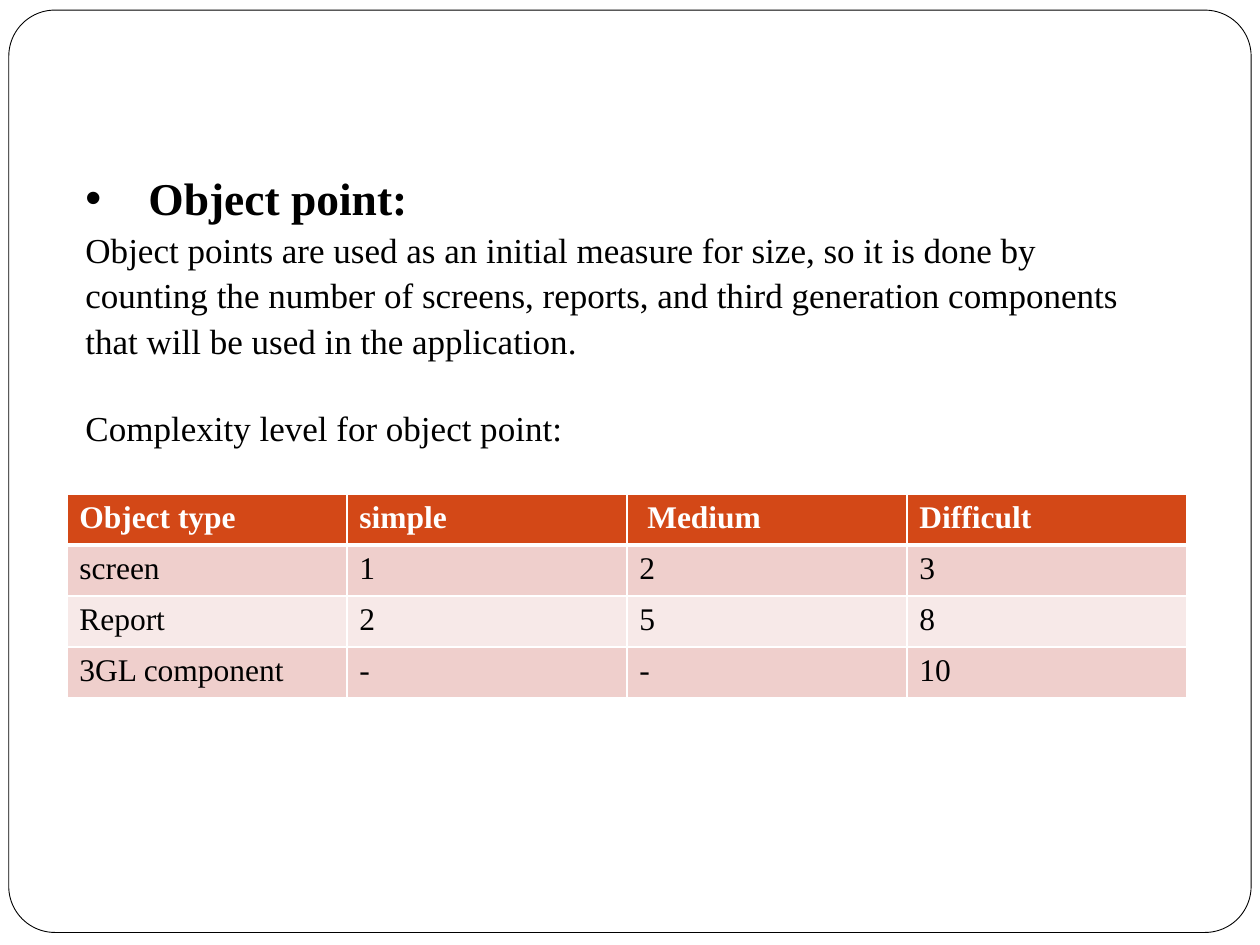
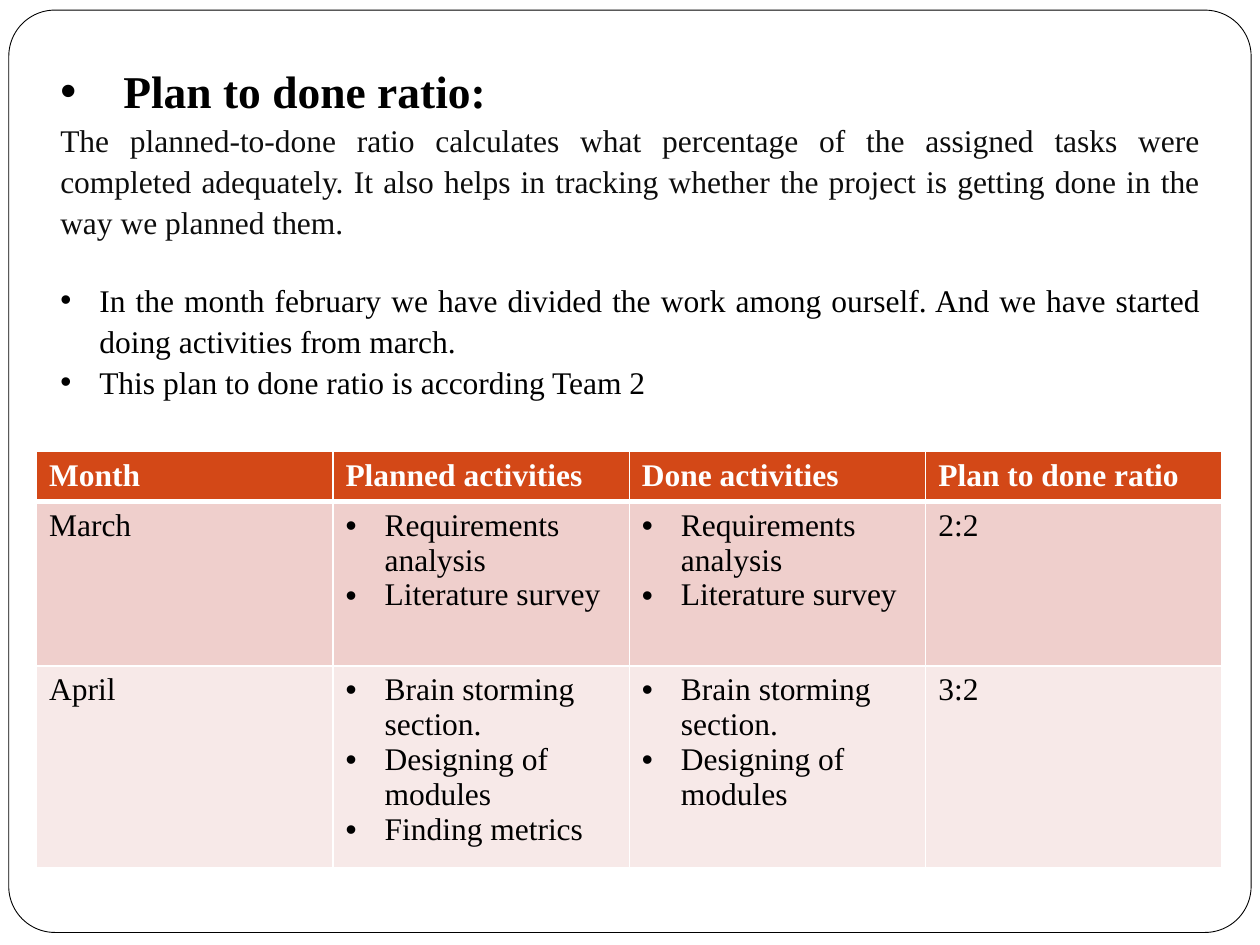
from lxml import etree
from pptx import Presentation
from pptx.dml.color import RGBColor
from pptx.enum.shapes import MSO_SHAPE
from pptx.enum.text import MSO_AUTO_SIZE, PP_ALIGN
from pptx.oxml.ns import qn
from pptx.util import Inches, Pt

ROUNDED = MSO_SHAPE.ROUNDED_RECTANGLE
LEFT, JUSTIFY = PP_ALIGN.LEFT, PP_ALIGN.JUSTIFY
NO_AUTOFIT = MSO_AUTO_SIZE.NONE

FONT = "Times New Roman"
BLACK, WHITE, INK = "000000", "FFFFFF", "0D0D0D"
HEADER, BANDS = "D34817", ("EFCFCC", "F7E9E8")
TITLE_INDENT, LIST_INDENT = 0.5, 0.31

prs = Presentation()
prs.slide_width, prs.slide_height = Inches(10), Inches(7.5)
# The grid has 100 columns and 100 rows
COL, ROW = prs.slide_width / 100, prs.slide_height / 100


def rgb(color):
    return RGBColor.from_string(color)


def write(tf, text, size=18, color=BLACK, bold=False, align=LEFT,
          indent=0, line=1.0, before=0):
    """Add a paragraph to a text frame; an indent makes it a bullet."""
    p = tf.paragraphs[0]
    if p.runs:
        p = tf.add_paragraph()
    p.alignment, p.line_spacing = align, line
    if before:
        p.space_before = Pt(before)
    if indent:
        pPr = p._p.get_or_add_pPr()
        pPr.set("marL", str(Inches(indent)))
        pPr.set("indent", str(-Inches(indent)))
        etree.SubElement(pPr, qn("a:buFont"), typeface="Arial")
        etree.SubElement(pPr, qn("a:buChar"), char="•")
    r = p.add_run()
    r.text = text
    r.font.name, r.font.size, r.font.bold = FONT, Pt(size), bold
    r.font.color.rgb = rgb(color)


# Content: box and table places are in grid columns and rows
slides = [
    dict(
        box=(5.8, 16.93, 85, 41.73), align=LEFT, title="Object point:",
        body=[
            ("Object points are used as an initial measure for size, so it is "
             "done by counting the number of screens, reports, and third "
             "generation components that will be used in the application.",
             dict(size=20)),
            ("Complexity level for object point:", dict(size=20, before=24)),
        ],
        table=(5.3, 52.27, 88.9), heights=[5.4] * 4,
        rows=[
            ["Object type", "simple", " Medium", "Difficult"],
            ["screen", "1", "2", "3"],
            ["Report", "2", "5", "8"],
            ["3GL component", "-", "-", "10"],
        ]),
    dict(
        box=(3.8, 5.6, 92.5, 39.47), align=JUSTIFY, title="Plan to done ratio:",
        body=[
            ("The planned-to-done ratio calculates what percentage of the "
             "assigned tasks were completed adequately. It also helps in "
             "tracking whether the project is getting done in the way we "
             "planned them.", dict(color=INK)),
            ("In the month february we have divided the work among ourself. "
             "And we have started doing activities from march.",
             dict(indent=LIST_INDENT, before=21.6)),
            ("This plan to done ratio is according Team 2",
             dict(indent=LIST_INDENT)),
        ],
        table=(2.9, 47.8, 94.1), heights=[5.3, 17.4, 21.3],
        rows=[
            ["Month", "Planned activities", "Done activities",
             "Plan to done ratio"],
            ["March", ["Requirements analysis", "Literature survey"],
             ["Requirements analysis", "Literature survey"], "2:2"],
            ["April", ["Brain storming section.", "Designing of modules",
                       "Finding metrics"],
             ["Brain storming section.", "Designing of modules"], "3:2"],
        ]),
]

for page in slides:
    s = prs.slides.add_slide(prs.slide_layouts[6])

    # Rounded frame
    sp = s.shapes.add_shape(ROUNDED, int(0.7 * COL), int(1.07 * ROW),
                            int(98.6 * COL), int(97.6 * ROW))
    sp.adjustments[0] = 0.05
    sp.shadow.inherit = False
    sp.fill.solid()
    sp.fill.fore_color.rgb = rgb(WHITE)
    sp.line.color.rgb = rgb(BLACK)
    sp.line.width = Pt(0.5)

    # Title and body
    x, y, w, h = page["box"]
    tf = s.shapes.add_textbox(int(x * COL), int(y * ROW),
                              int(w * COL), int(h * ROW)).text_frame
    tf.word_wrap, tf.auto_size = True, NO_AUTOFIT
    write(tf, page["title"], size=26, bold=True, align=page["align"],
          indent=TITLE_INDENT, line=1.08)
    for text, style in page["body"]:
        write(tf, text, align=page["align"], line=1.08, **style)

    # Table
    x, y, w = page["table"]
    rows, heights = page["rows"], page["heights"]
    table = s.shapes.add_table(len(rows), len(rows[0]), int(x * COL),
                               int(y * ROW), int(w * COL),
                               int(sum(heights) * ROW)).table
    for i, row in enumerate(rows):
        table.rows[i].height = int(heights[i] * ROW)
        for j, value in enumerate(row):
            cell = table.cell(i, j)
            # White borders, heavier under the header
            tcPr = cell._tc.get_or_add_tcPr()
            widths = dict(lnL=1, lnR=1, lnT=3 if i == 1 else 1,
                          lnB=3 if i == 0 else 1)
            for side, width in widths.items():
                ln = etree.SubElement(tcPr, qn("a:" + side), w=str(Pt(width)))
                fill = etree.SubElement(ln, qn("a:solidFill"))
                etree.SubElement(fill, qn("a:srgbClr"), val=WHITE)
            cell.fill.solid()
            cell.fill.fore_color.rgb = rgb(BANDS[(i - 1) % 2] if i else HEADER)
            # A list of values becomes bullets
            is_list = isinstance(value, list)
            for text in value if is_list else [value]:
                write(cell.text_frame, text, color=BLACK if i else WHITE,
                      bold=i == 0, indent=LIST_INDENT if is_list else 0)

prs.save("out.pptx")
